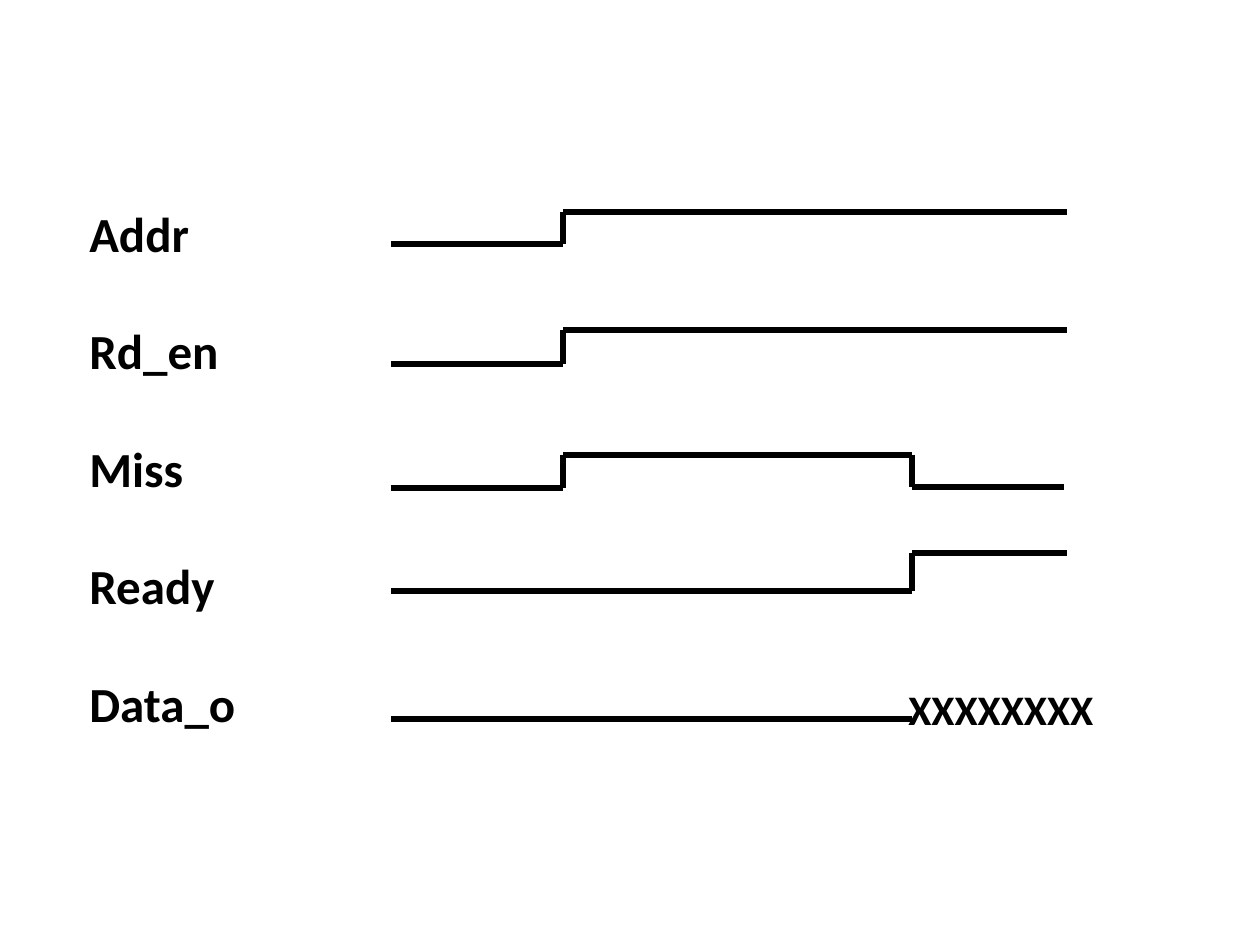
import itertools

import pptx
import pptx.dml.color
import pptx.enum.shapes
import pptx.enum.text
import pptx.oxml
import pptx.oxml.ns
import pptx.util

EMU_PER_PX = 914400 / 126


def px(length):
    return pptx.util.Emu(round(length * EMU_PER_PX))


def color(value):
    return pptx.dml.color.RGBColor.from_string(value)


class TimingDiagram:
    font = "Calibri"
    ink = "000000"
    line_width = 3

    def __init__(self, slide):
        self.slide = slide

    def text(self, left, top, width, height, lines, size, gap=0, wrap=True):
        box = self.slide.shapes.add_textbox(px(left), px(top), px(width), px(height))
        frame = box.text_frame
        frame.word_wrap = wrap
        frame.auto_size = pptx.enum.text.MSO_AUTO_SIZE.SHAPE_TO_FIT_TEXT
        for index, line in enumerate(lines):
            paragraph = frame.add_paragraph() if index else frame.paragraphs[0]
            paragraph.space_before = pptx.util.Pt(gap if index else 0)
            run = paragraph.add_run()
            run.text = line
            run.font.name = self.font
            run.font.size = pptx.util.Pt(size)
            run.font.bold = True
            run.font.color.rgb = color(self.ink)

    def segment(self, start, end):
        edge = self.slide.shapes.add_connector(
            pptx.enum.shapes.MSO_CONNECTOR.STRAIGHT, *map(px, start + end)
        )
        edge.line.color.rgb = color(self.ink)
        edge.line.width = pptx.util.Pt(self.line_width)
        properties = edge._element.find(pptx.oxml.ns.qn("p:spPr"))
        properties.append(
            pptx.oxml.parse_xml(f"<a:effectLst {pptx.oxml.ns.nsdecls('a')}/>")
        )

    def waveform(self, points):
        for start, end in itertools.pairwise(points):
            self.segment(start, end)


def main():
    presentation = pptx.Presentation()
    presentation.slide_width = px(1260)
    presentation.slide_height = px(945)
    slide = presentation.slides.add_slide(presentation.slide_layouts[6])
    diagram = TimingDiagram(slide)

    signals = ["Addr", "Rd_en", "Miss", "Ready", "Data_o"]
    diagram.text(77, 197, 222, 547, signals, size=28, gap=33.5)

    start, request, response, end = 391, 563, 912, 1067
    for low, high in [(244, 212), (364, 330)]:
        diagram.waveform([(start, low), (request, low), (request, high), (end, high)])

    diagram.waveform([
        (start, 488), (request, 488), (request, 455),
        (response, 455), (response, 487), (end - 3, 487),
    ])
    diagram.waveform([(start, 591), (response, 591), (response, 553), (end, 553)])
    diagram.waveform([(start, 719), (response, 719)])
    diagram.text(896, 677, 213, 63, ["XXXXXXXX"], size=24, wrap=False)

    presentation.save("out.pptx")


if __name__ == "__main__":
    main()
